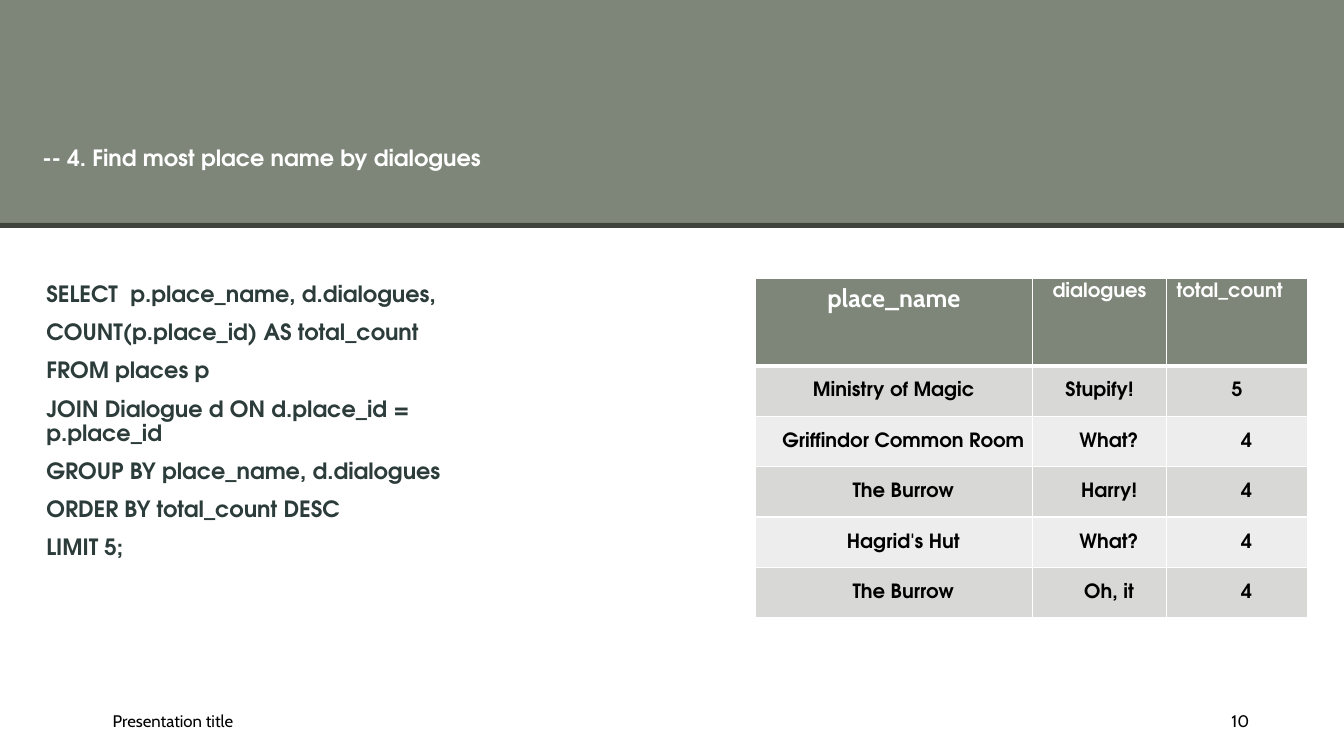
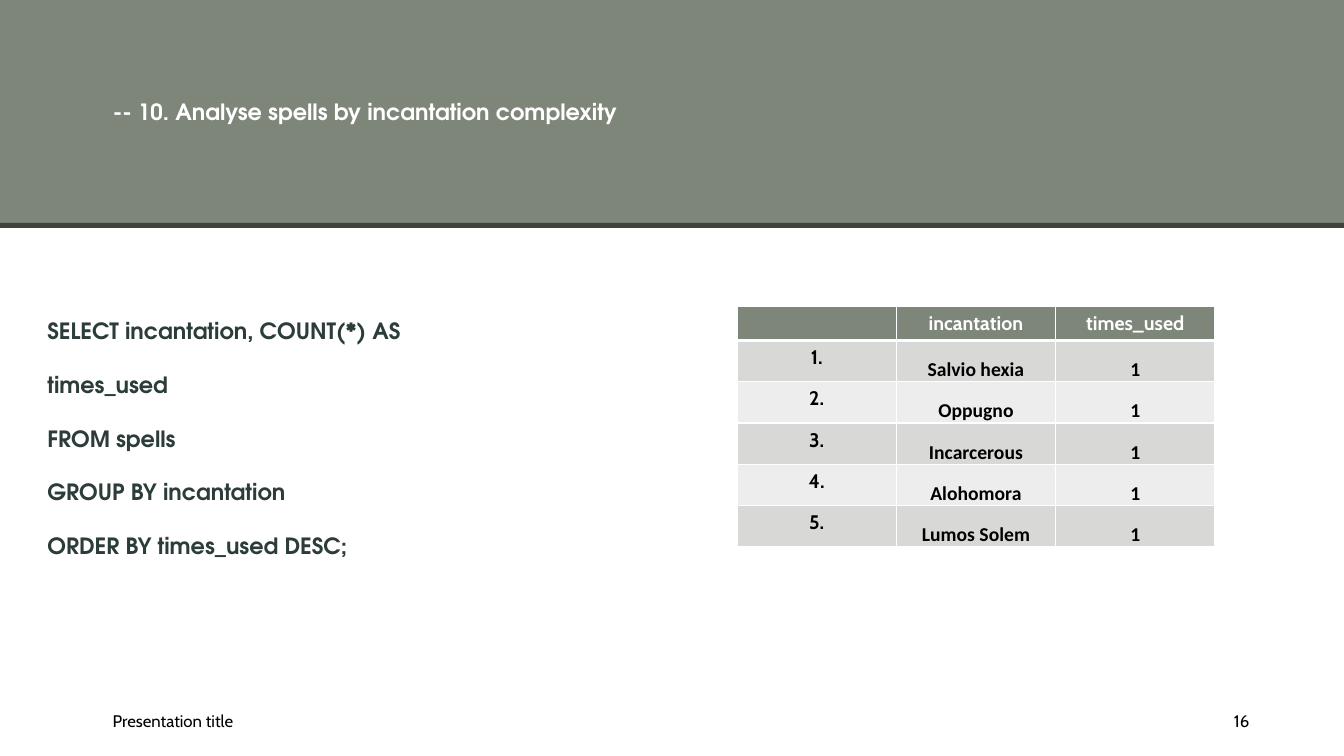
"""Build two slides that pair a SQL query with its result table."""
from lxml.etree import SubElement
from pptx import Presentation
from pptx.dml.color import RGBColor
from pptx.enum.shapes import MSO_SHAPE
from pptx.enum.text import MSO_ANCHOR, MSO_AUTO_SIZE, PP_ALIGN
from pptx.oxml.ns import qn
from pptx.util import Inches, Pt

SAGE, RULE, INK = "7E8679", "3F433C", "2C3C3A"
WHITE, BLACK = "FFFFFF", "000000"
STRIPES = ["ECEDEC", "D8D9D7"]
DISPLAY, PLAIN, DATA = "TeX Gyre Adventor", "Cabin", "Calibri"
LEFT, CENTER, RIGHT = PP_ALIGN.LEFT, PP_ALIGN.CENTER, PP_ALIGN.RIGHT


def color(value):
    return RGBColor.from_string(value)


def style(paragraph, font_name, size, value, bold=True, align=LEFT):
    paragraph.alignment = align
    for run in paragraph.runs:
        run.font.name = font_name
        run.font.size = Pt(size)
        run.font.bold = bold
        run.font.color.rgb = color(value)


slides = [
    {
        "title": "-- 4. Find most place name by dialogues",
        "title_box": (0.32, 1.11, 4.84, 0.94),
        "query": [
            "SELECT  p.place_name, d.dialogues,",
            "COUNT(p.place_id) AS total_count",
            "FROM places p",
            "JOIN Dialogue d ON d.place_id = p.place_id",
            "GROUP BY place_name, d.dialogues",
            "ORDER BY total_count DESC",
            "LIMIT 5;",
        ],
        "query_box": (0.36, 2.76, 4.84, 2.92),
        "line_spacing": 0.9,
        "space_before": 10,
        "table_at": (7.49, 2.76),
        "widths": [2.75, 1.33, 1.4],
        "heights": [0.87] + [0.5] * 5,
        "rows": [
            ["place_name", "dialogues", "total_count"],
            ["Ministry of Magic", "Stupify!", "5"],
            ["Griffindor Common Room", "What?", "4"],
            ["The Burrow", "Harry!", "4"],
            ["Hagrid's Hut", "What?", "4"],
            ["The Burrow", "Oh, it", "4"],
        ],
        "header_styles": [(PLAIN, 18, CENTER), (DISPLAY, 14, CENTER), (DISPLAY, 14, LEFT)],
        "body_fonts": [DISPLAY] * 3,
        "anchors": [MSO_ANCHOR.MIDDLE] * 3,
        "left_insets": [0.01] + [0.2] * 4,
        "number": "10",
    },
    {
        "title": "-- 10. Analyse spells by incantation complexity",
        "title_box": (1.02, 0.25, 10.42, 1.75),
        "query": [
            "SELECT incantation, COUNT(*) AS times_used",
            "FROM spells",
            "GROUP BY incantation",
            "ORDER BY times_used DESC;",
        ],
        "query_box": (0.37, 2.83, 4.37, 4.04),
        "line_spacing": 2.0,
        "space_before": 0,
        "table_at": (7.31, 3.04),
        "widths": [1.58] * 3,
        "heights": [0.31] + [0.41] * 5,
        "rows": [
            ["", "incantation", "times_used"],
            ["1.", "Salvio hexia", "1"],
            ["2.", "Oppugno", "1"],
            ["3.", "Incarcerous", "1"],
            ["4.", "Alohomora", "1"],
            ["5.", "Lumos Solem", "1"],
        ],
        "header_styles": [(PLAIN, 14, CENTER)] * 3,
        "body_fonts": [PLAIN, DATA, DATA],
        "anchors": [MSO_ANCHOR.TOP, MSO_ANCHOR.BOTTOM, MSO_ANCHOR.BOTTOM],
        "left_insets": [0.01] * 5,
        "number": "16",
    },
]

presentation = Presentation()
presentation.slide_width = Inches(13.33)
presentation.slide_height = Inches(7.5)
layout = presentation.slide_layouts[1]

for content in slides:
    slide = presentation.slides.add_slide(layout)

    title = slide.shapes.title
    title.left, title.top, title.width, title.height = map(Inches, content["title_box"])
    title.text_frame.text = content["title"]
    title.text_frame.vertical_anchor = MSO_ANCHOR.MIDDLE
    title.text_frame.auto_size = MSO_AUTO_SIZE.NONE
    title.text_frame.paragraphs[0].line_spacing = 0.9
    style(title.text_frame.paragraphs[0], DISPLAY, 16, WHITE)

    query = slide.placeholders[1]
    query.left, query.top, query.width, query.height = map(Inches, content["query_box"])
    query.text_frame.text = "\n".join(content["query"])
    query.text_frame.auto_size = MSO_AUTO_SIZE.NONE
    for index, paragraph in enumerate(query.text_frame.paragraphs):
        properties = paragraph._p.get_or_add_pPr()
        properties.set("marL", "0")
        properties.set("indent", "0")
        SubElement(properties, qn("a:buNone"))
        paragraph.line_spacing = content["line_spacing"]
        paragraph.space_before = Pt(content["space_before"] if index else 0)
        style(paragraph, DISPLAY, 16, INK)

    rows, widths, heights = content["rows"], content["widths"], content["heights"]
    left, top = content["table_at"]
    table = slide.shapes.add_table(
        len(rows), len(widths), Inches(left), Inches(top),
        Inches(sum(widths)), Inches(sum(heights)),
    ).table
    for column, width in zip(table.columns, widths):
        column.width = Inches(width)
    for row_index, (values, height) in enumerate(zip(rows, heights)):
        table.rows[row_index].height = Inches(height)
        for column_index, value in enumerate(values):
            cell = table.cell(row_index, column_index)
            cell.text_frame.text = value
            paragraph = cell.text_frame.paragraphs[0]
            border_widths = {"L": 1, "R": 1, "T": 1, "B": 1}
            if row_index == 0:
                fill = SAGE
                border_widths["B"] = 3
                font_name, size, align = content["header_styles"][column_index]
                style(paragraph, font_name, size, WHITE, align=align)
                if not value:
                    cell.margin_top = cell.margin_bottom = 0
            else:
                fill = STRIPES[row_index % 2]
                if row_index == 1:
                    border_widths["T"] = 3
                style(paragraph, content["body_fonts"][column_index], 14, BLACK, align=CENTER)
                cell.vertical_anchor = content["anchors"][column_index]
                if cell.vertical_anchor != MSO_ANCHOR.TOP:
                    cell.margin_left = Inches(content["left_insets"][row_index - 1])
                    cell.margin_top = cell.margin_right = Inches(0.01)
                    cell.margin_bottom = 0
            cell_properties = cell._tc.get_or_add_tcPr()
            for side, points in border_widths.items():
                border = SubElement(cell_properties, qn(f"a:ln{side}"), w=str(Pt(points)))
                border_fill = SubElement(border, qn("a:solidFill"))
                SubElement(border_fill, qn("a:srgbClr"), val=WHITE)
            cell.fill.solid()
            cell.fill.fore_color.rgb = color(fill)

    for text, left, width, align in [
        ("Presentation title", 1.02, 4.5, LEFT),
        (content["number"], 11.63, 0.86, RIGHT),
    ]:
        footer = slide.shapes.add_textbox(Inches(left), Inches(6.95), Inches(width), Inches(0.4))
        footer.text_frame.word_wrap = True
        footer.text_frame.vertical_anchor = MSO_ANCHOR.MIDDLE
        footer.text_frame.text = text
        style(footer.text_frame.paragraphs[0], PLAIN, 12, BLACK, bold=False, align=align)

for position, (top, height, fill) in enumerate([(0, 2.24, SAGE), (2.21, 0.05, RULE)]):
    band = slide.shapes.add_shape(
        MSO_SHAPE.RECTANGLE, 0, Inches(top), presentation.slide_width, Inches(height)
    )
    band.shadow.inherit = False
    band.fill.solid()
    band.fill.fore_color.rgb = color(fill)
    band.line.fill.background()
    layout.shapes.element.insert(2 + position, band.element)

presentation.save("out.pptx")
